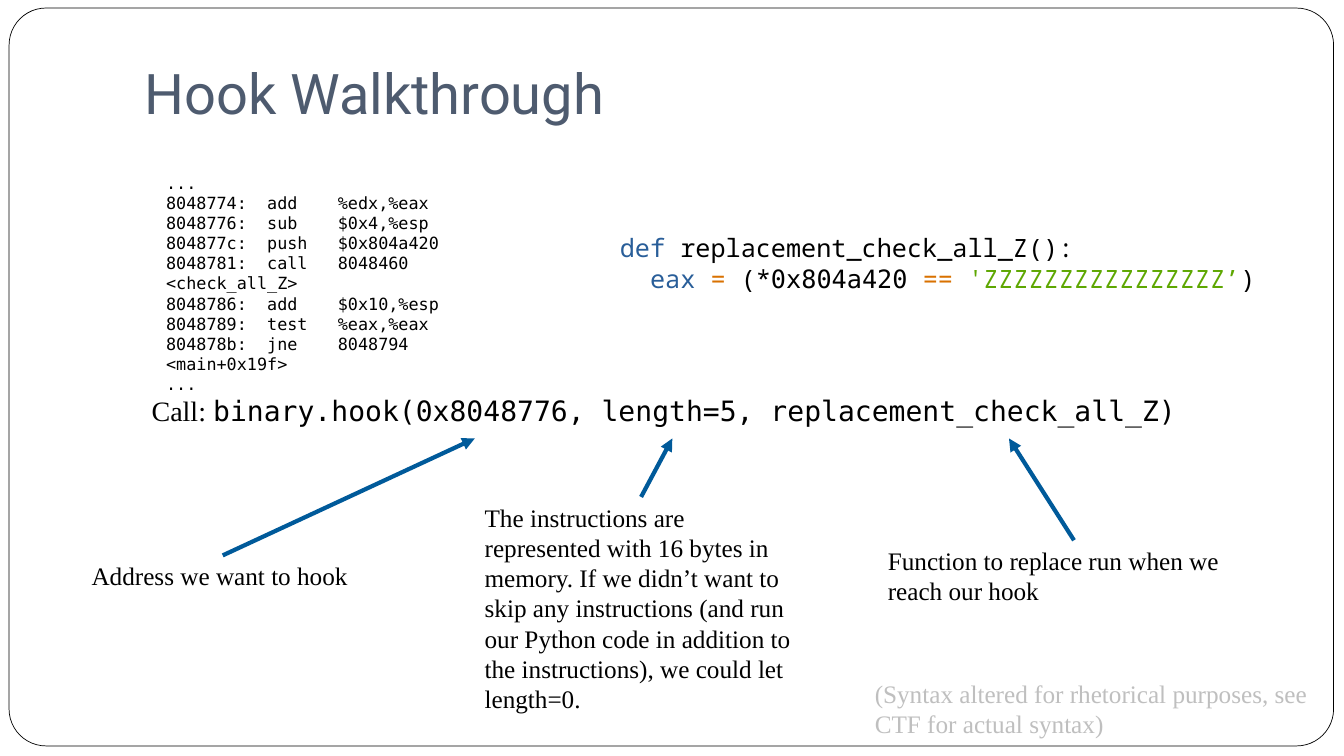
from lxml import etree
from pptx import Presentation, util as u
from pptx.dml.color import RGBColor
from pptx.enum import shapes, text
from pptx.oxml import ns

BLACK = RGBColor(0x00, 0x00, 0x00)
WHITE = RGBColor(0xFF, 0xFF, 0xFF)
SLATE = RGBColor(0x4E, 0x5B, 0x6F)
ARROW_BLUE = RGBColor(0x00, 0x5A, 0x9A)
CODE_BLUE = RGBColor(0x29, 0x5E, 0x99)
ORANGE = RGBColor(0xD9, 0x71, 0x00)
GREEN = RGBColor(0x5E, 0xA7, 0x02)
GRAY = RGBColor(0xBF, 0xBF, 0xBF)

SERIF = "Times New Roman"
MONO = "DejaVu Sans Mono"
CODE = "Noto Sans Mono"

WIDTH, HEIGHT = u.Inches(13.33), u.Inches(7.5)
COLUMN, ROW = WIDTH / 40, HEIGHT / 30
CALL_BOTTOM = 17.4

LISTING = """...
8048774:  add    %edx,%eax
8048776:  sub    $0x4,%esp
804877c:  push   $0x804a420
8048781:  call   8048460 <check_all_Z>
8048786:  add    $0x10,%esp
8048789:  test   %eax,%eax
804878b:  jne    8048794 <main+0x19f>
...""".split("\n")

REPLACEMENT = [
    [("def ", CODE, CODE_BLUE), ("replacement_check_all_Z():", CODE, BLACK)],
    [("  ", CODE, BLACK), ("eax ", CODE, CODE_BLUE), ("= ", CODE, ORANGE),
     ("(*", CODE, BLACK), ("0x804a420 ", MONO, BLACK), ("== ", CODE, ORANGE),
     ("'ZZZZZZZZZZZZZZZZ’", CODE, GREEN), (")", CODE, BLACK)],
]

CALLOUTS = [
    ((2.43, 22.04, 8.4, 1.6), 14.13, False, "Address we want to hook"),
    ((14.13, 19.72, 9.9, 8.88), 20.01, True,
     "The instructions are represented with 16 bytes in memory. If we didn’t "
     "want to skip any instructions (and run our Python code in addition to "
     "the instructions), we could let length=0."),
    ((26.13, 21.44, 11.67, 2.84), 30.03, True,
     "Function to replace run when we reach our hook"),
]


def place(box):
    left, top, width, height = box
    return (round(left * COLUMN), round(top * ROW),
            round(width * COLUMN), round(height * ROW))


def add_run(paragraph, wording, font=SERIF, size=18, color=BLACK):
    run = paragraph.add_run()
    run.text = wording
    run.font.name = font
    run.font.size = u.Pt(size)
    run.font.color.rgb = color


def add_text(slide, box, lines, size=18, align=text.PP_ALIGN.LEFT, wrap=True):
    shape = slide.shapes.add_textbox(*place(box))
    frame = shape.text_frame
    frame.word_wrap = wrap
    frame.auto_size = text.MSO_AUTO_SIZE.SHAPE_TO_FIT_TEXT
    for index, pieces in enumerate(lines):
        paragraph = frame.add_paragraph() if index else frame.paragraphs[0]
        paragraph.alignment = align
        for wording, font, color in pieces:
            add_run(paragraph, wording, font=font, size=size, color=color)
    return shape


def add_border(slide, box):
    border = slide.shapes.add_shape(
        shapes.MSO_SHAPE.ROUNDED_RECTANGLE, *place(box))
    border.adjustments[0] = 0.05
    border.shadow.inherit = False
    border.fill.solid()
    border.fill.fore_color.rgb = WHITE
    border.line.color.rgb = BLACK
    border.line.width = u.Pt(0.5)
    border.element.getparent().insert(2, border.element)


def add_title(slide, box, wording):
    title = slide.shapes.title
    title.left, title.top, title.width, title.height = place(box)
    frame = title.text_frame
    frame.vertical_anchor = text.MSO_ANCHOR.BOTTOM
    frame.auto_size = text.MSO_AUTO_SIZE.NONE
    frame.margin_bottom = u.Inches(0.1)
    paragraph = frame.paragraphs[0]
    paragraph.alignment = text.PP_ALIGN.LEFT
    add_run(paragraph, wording, font="Roboto", size=40, color=SLATE)


def add_callout(slide, box, target, wrap, wording):
    label = add_text(slide, box, [[(wording, SERIF, BLACK)]], wrap=wrap)
    left, top, width, height = box
    start_x, start_y, end_x, end_y = place(
        (left + width / 2, top, target, CALL_BOTTOM))
    arrow = slide.shapes.add_connector(
        shapes.MSO_CONNECTOR.STRAIGHT, start_x, start_y, end_x, end_y)
    arrow.begin_connect(label, 0)
    arrow.line.color.rgb = ARROW_BLUE
    arrow.line.width = u.Pt(3)
    etree.SubElement(arrow.line._get_or_add_ln(), ns.qn("a:tailEnd"),
                     type="triangle")
    etree.SubElement(arrow.element.spPr, ns.qn("a:effectLst"))


def build_walkthrough(presentation):
    slide = presentation.slides.add_slide(presentation.slide_layouts[5])
    add_border(slide, (0.27, 0.32, 39.42, 29.28))
    add_title(slide, (4, 0.52, 34, 4.88), "Hook Walkthrough")
    add_text(slide, (2.76, 15.4, 34.5, 1.76), [[
        ("Call: ", SERIF, BLACK),
        ("binary.hook(0x8048776, length=5, replacement_check_all_Z) ",
         MONO, BLACK)]], size=20, align=text.PP_ALIGN.CENTER)
    for callout in CALLOUTS:
        add_callout(slide, *callout)
    add_text(slide, (4.65, 6.64, 11.46, 7.68),
             [[(line, MONO, BLACK)] for line in LISTING], size=12)
    add_text(slide, (18.15, 9.04, 19.65, 2.84), REPLACEMENT)
    add_text(slide, (25.74, 26.72, 14.82, 2.84), [[
        ("(Syntax altered for rhetorical purposes, see CTF for actual syntax)",
         SERIF, GRAY)]])


def main():
    presentation = Presentation()
    presentation.slide_width, presentation.slide_height = WIDTH, HEIGHT
    build_walkthrough(presentation)
    presentation.save("out.pptx")


if __name__ == "__main__":
    main()
